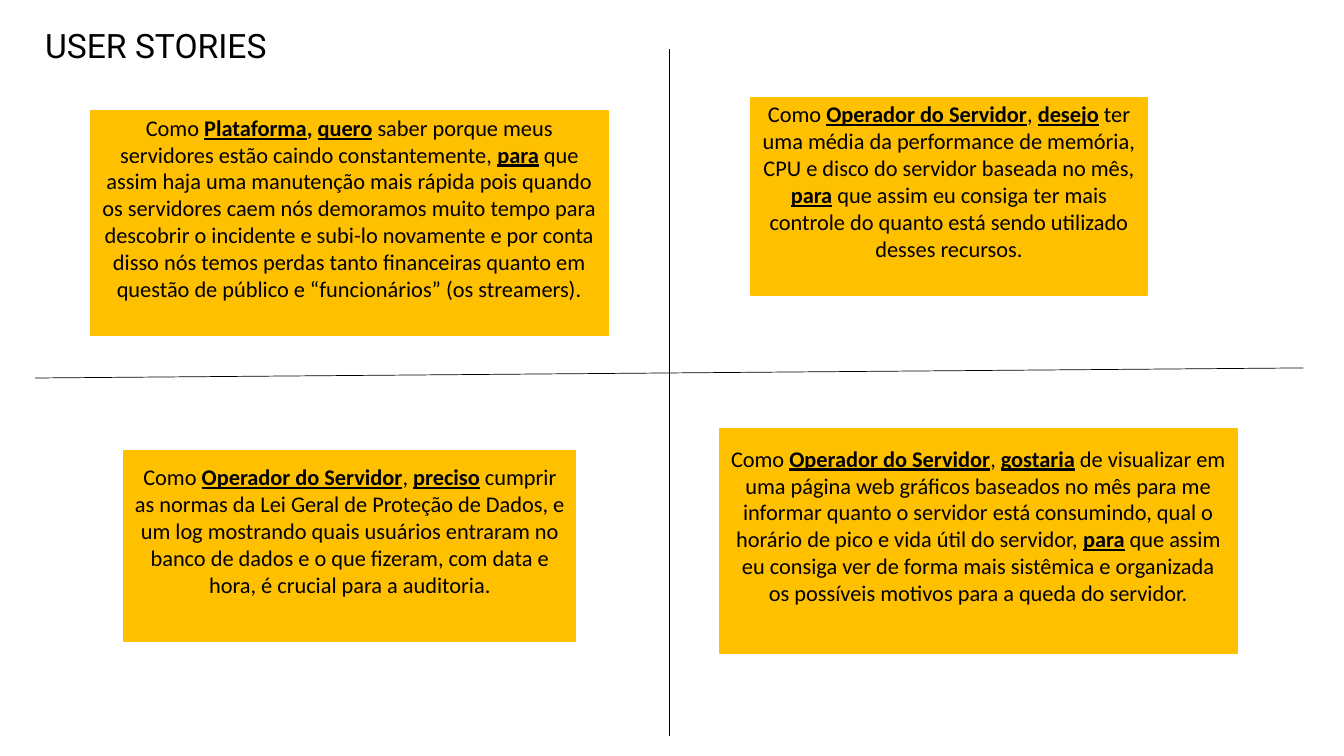
from dataclasses import dataclass

from lxml import etree
from pptx import Presentation
from pptx.dml.color import RGBColor
from pptx.enum.shapes import MSO_CONNECTOR, MSO_SHAPE
from pptx.enum.text import MSO_ANCHOR, MSO_AUTO_SIZE, PP_ALIGN
from pptx.oxml.ns import qn
from pptx.slide import Slide
from pptx.util import Pt

RECT = MSO_SHAPE.RECTANGLE
STRAIGHT = MSO_CONNECTOR.STRAIGHT
MIDDLE = MSO_ANCHOR.MIDDLE
CENTER = PP_ALIGN.CENTER
FIT = MSO_AUTO_SIZE.SHAPE_TO_FIT_TEXT

BLACK = RGBColor(0x00, 0x00, 0x00)
AMBER = RGBColor(0xFF, 0xC0, 0x00)


@dataclass
class Story:
    left: float
    top: float
    width: float
    height: float
    text: str  # * switches bold, _ switches underline


@dataclass
class Axis:
    x1: float
    y1: float
    x2: float
    y2: float


STORIES = [
    Story(64.8, 79.2, 369.4, 160.6,
          "Como *_Plataforma_, _quero_ *saber porque meus servidores estão caindo "
          "constantemente, *_para_* que assim haja uma manutenção mais rápida pois "
          "quando os servidores caem nós demoramos muito tempo para descobrir o "
          "incidente e subi-lo novamente e por conta disso nós temos perdas tanto "
          "financeiras quanto em questão de público e “funcionários” (os streamers)."),
    Story(536.4, 69.8, 283, 141.1,
          "Como *_Operador do Servidor_*, *_desejo_* ter uma média da performance de "
          "memória, CPU e disco do servidor baseada no mês, *_para_* que assim eu "
          "consiga ter mais controle do quanto está sendo utilizado desses recursos."),
    Story(514.1, 306, 369.4, 160.6,
          "Como *_Operador do Servidor_*, *_gostaria_* de visualizar em uma página "
          "web gráficos baseados no mês para me informar quanto o servidor está "
          "consumindo, qual o horário de pico e vida útil do servidor, *_para_* que "
          "assim eu consiga ver de forma mais sistêmica e organizada os possíveis "
          "motivos para a queda do servidor."),
    Story(88.6, 321.8, 322.6, 136.1,
          "Como *_Operador do Servidor_*, *_preciso_* cumprir as normas da Lei Geral "
          "de Proteção de Dados, e um log mostrando quais usuários entraram no banco "
          "de dados e o que fizeram, com data e hora, é crucial para a auditoria."),
]
AXES = [Axis(478.1, 35.3, 478.1, 525.6), Axis(931, 262.8, 25.2, 270)]


def add_title(slide: Slide, text: str) -> None:
    box = slide.shapes.add_textbox(Pt(25.2), Pt(14.4), Pt(185), Pt(36))
    frame = box.text_frame
    frame.text = text
    frame.word_wrap = False
    frame.auto_size = FIT
    font = frame.paragraphs[0].runs[0].font
    font.name, font.size = "Roboto", Pt(24)
    font.color.rgb = BLACK


def add_story(slide: Slide, story: Story) -> None:
    card = slide.shapes.add_shape(RECT, Pt(story.left), Pt(story.top),
                                  Pt(story.width), Pt(story.height))
    card.shadow.inherit = False
    card.fill.solid()
    card.fill.fore_color.rgb = AMBER
    card.line.color.rgb = AMBER
    card.line.width = Pt(1)

    # The deep bottom margin lifts the text above the middle
    frame = card.text_frame
    frame.word_wrap = True
    frame.vertical_anchor = MIDDLE
    frame.margin_top, frame.margin_bottom = Pt(0), Pt(22)
    para = frame.paragraphs[0]
    para.alignment = CENTER
    for i, part in enumerate(story.text.split("*")):
        for j, piece in enumerate(part.split("_")):
            if piece:
                run = para.add_run()
                run.text = piece
                font = run.font
                font.name, font.size = "Calibri", Pt(16)
                font.bold, font.underline = i % 2 == 1, j % 2 == 1
                font.color.rgb = BLACK


def add_axis(slide: Slide, axis: Axis) -> None:
    line = slide.shapes.add_connector(STRAIGHT, Pt(axis.x1), Pt(axis.y1),
                                      Pt(axis.x2), Pt(axis.y2))
    line.line.color.rgb = BLACK
    line.line.width = Pt(0.5)
    etree.SubElement(line._element.spPr, qn("a:effectLst"))


def main() -> None:
    deck = Presentation()
    deck.slide_width, deck.slide_height = Pt(960), Pt(540)
    slide = deck.slides.add_slide(deck.slide_layouts[6])

    # Heading, story cards, then the quadrant axes
    add_title(slide, "USER STORIES")
    for story in STORIES:
        add_story(slide, story)
    for axis in AXES:
        add_axis(slide, axis)

    deck.save("out.pptx")


if __name__ == "__main__":
    main()
